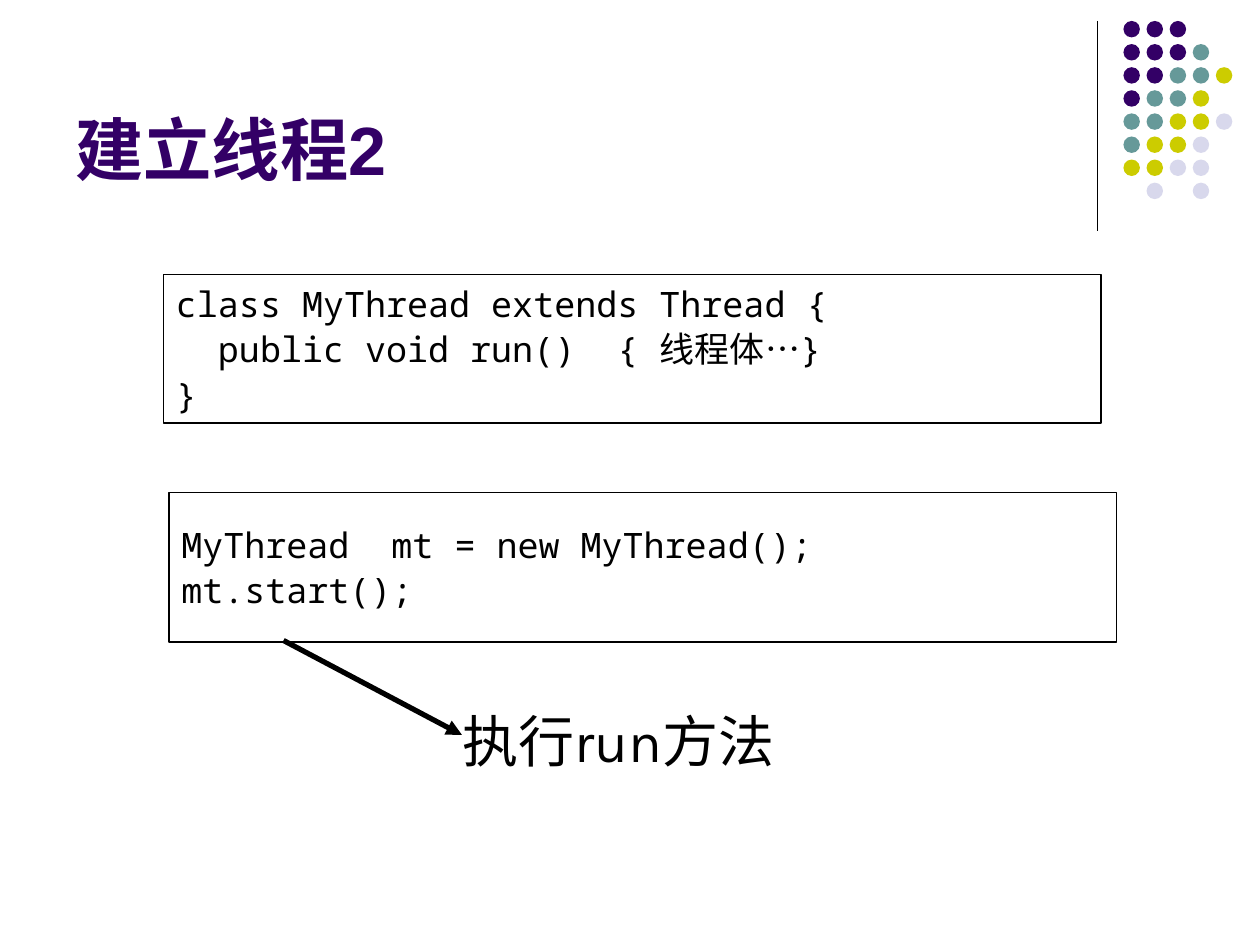
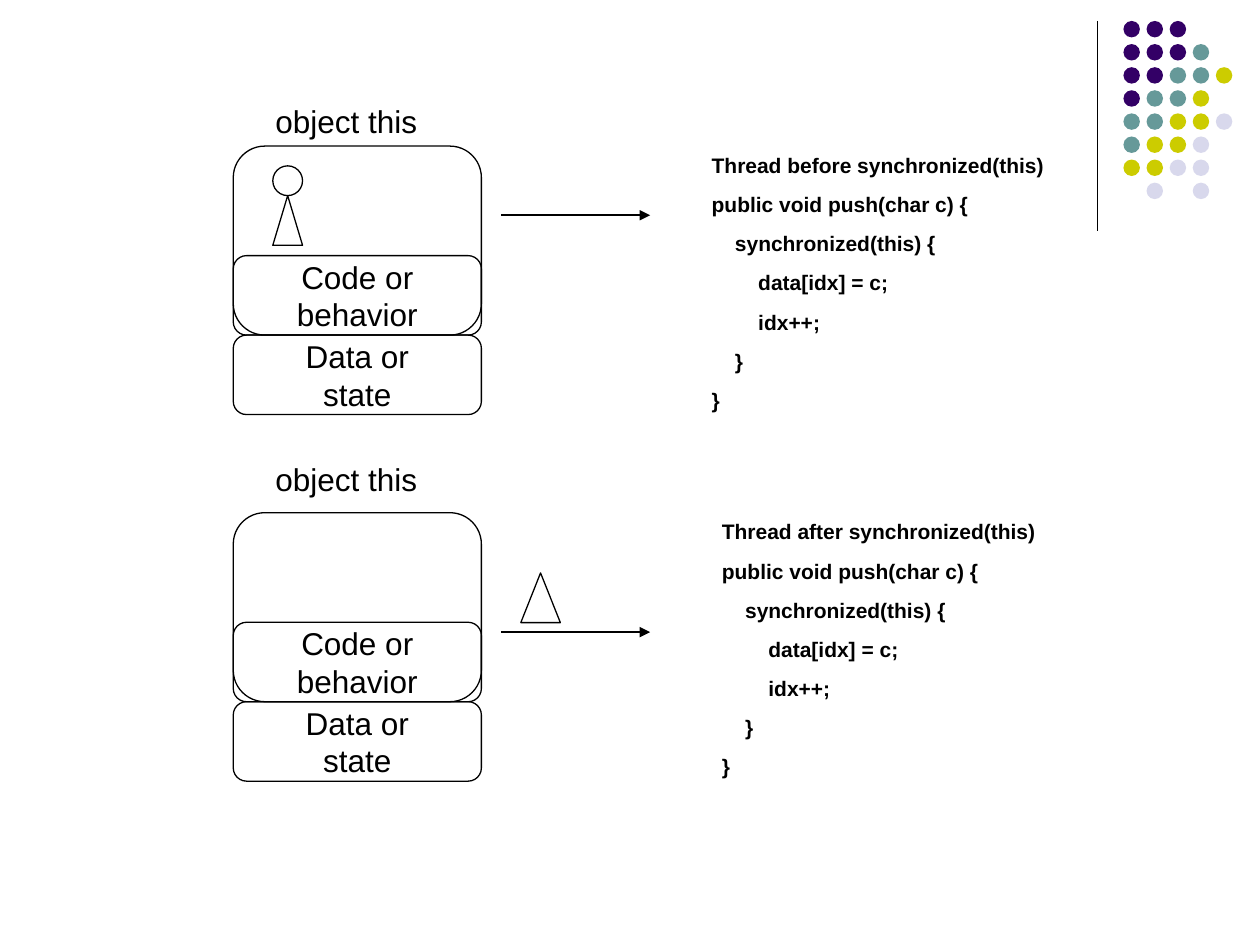
"""Builds two slides on starting Java threads and on synchronized objects."""
import pptx
import pptx.dml.color
import pptx.enum.shapes
import pptx.enum.text
import pptx.oxml.ns
import pptx.oxml.xmlchemy
import pptx.util

Pt = pptx.util.Pt
SHAPES = pptx.enum.shapes.MSO_SHAPE
ANCHOR = pptx.enum.text.MSO_ANCHOR
ALIGN = pptx.enum.text.PP_ALIGN

COLORS = {"ink": "000000", "purple": "330066", "teal": "669999", "lime": "CCCC00", "mist": "D8D8EC"}
DOT_COLORS = {"P": "purple", "T": "teal", "Y": "lime", "L": "mist"}
DOT_ROWS = ["PPP", "PPPT", "PPTTY", "PTTY", "TTYYL", "TYYL", "YYLL", " L L"]
DOT_LEFT, DOT_TOP, DOT_PITCH, DOT_SIZE = 642, 12, 13.2, 9.4

TITLE = "建立线程2"
CALL_NOTE = "执行run方法"
CODE_BOXES = [
    ((93.5, 156.7, 535.7, 85), ["class MyThread extends Thread {", "  public void run()  { 线程体…}", "}"]),
    ((96.5, 281.4, 541.5, 85.4), ["MyThread  mt = new MyThread();", "mt.start();"]),
]

PUSH_CODE = [
    "public void push(char c) {",
    "    synchronized(this) {",
    "        data[idx] = c;",
    "        idx++;",
    "    }",
    "}",
]
OBJECT_PARTS = [["Code or", "behavior"], ["Data or", "state"]]
PANELS = [
    {"top": 83.5, "label_top": 54.7, "arrow_y": 123, "code_left": 399.6,
     "heading": "Thread before synchronized(this)",
     "figure": [(SHAPES.OVAL, (155.9, 94.8, 17, 17)),
                (SHAPES.ISOSCELES_TRIANGLE, (155.9, 111.8, 17, 28.4))]},
    {"top": 293, "label_top": 259.2, "arrow_y": 361.2, "code_left": 405.4,
     "heading": "Thread after synchronized(this)",
     "figure": [(SHAPES.ISOSCELES_TRIANGLE, (297.6, 327.4, 22.6, 28.4))]},
]
OBJECT_LEFT, OBJECT_WIDTH, OBJECT_HEIGHT, PART_HEIGHT = 133.3, 141.8, 108, 45.4


def rgb(name):
    return pptx.dml.color.RGBColor.from_string(COLORS[name])


def write(shape, lines, size, font="Arial", color="ink", bold=False, gap=0,
          align=ALIGN.LEFT, anchor=ANCHOR.TOP):
    frame = shape.text_frame
    frame.word_wrap = True
    frame.vertical_anchor = anchor
    for index, line in enumerate(lines):
        paragraph = frame.paragraphs[0] if index == 0 else frame.add_paragraph()
        paragraph.alignment = align
        paragraph.space_before = Pt(gap if index else 0)
        paragraph.font.size = Pt(size)
        paragraph.font.name = font
        paragraph.font.bold = bold
        paragraph.font.color.rgb = rgb(color)
        for part in filter(None, line.partition("…")):
            run = paragraph.add_run()
            run.text = part
            if part == "…":
                run.font.name = "Arial"


def add_text(slide, box, lines, size, **style):
    write(slide.shapes.add_textbox(*map(Pt, box)), lines, size, **style)


def add_outline(slide, kind, box):
    shape = slide.shapes.add_shape(kind, *map(Pt, box))
    shape.shadow.inherit = False
    shape.fill.background()
    shape.line.color.rgb = rgb("ink")
    shape.line.width = Pt(0.75)
    return shape


def add_line(slide, start, end, width, arrow=True):
    line = slide.shapes.add_connector(
        pptx.enum.shapes.MSO_CONNECTOR.STRAIGHT, *map(Pt, start + end))
    line.line.color.rgb = rgb("ink")
    line.line.width = Pt(width)
    properties = line._element.find(pptx.oxml.ns.qn("p:spPr"))
    if arrow:
        head = pptx.oxml.xmlchemy.OxmlElement("a:tailEnd")
        head.set("type", "triangle")
        properties.find(pptx.oxml.ns.qn("a:ln")).append(head)
    properties.append(pptx.oxml.xmlchemy.OxmlElement("a:effectLst"))


def add_slide(deck):
    slide = deck.slides.add_slide(deck.slide_layouts[6])
    add_line(slide, (627, 12), (627, 132), 0.75, arrow=False)
    for row, dots in enumerate(DOT_ROWS):
        for column, key in enumerate(dots):
            if key in DOT_COLORS:
                dot = add_outline(slide, SHAPES.OVAL, (
                    DOT_LEFT + column * DOT_PITCH, DOT_TOP + row * DOT_PITCH, DOT_SIZE, DOT_SIZE))
                dot.fill.solid()
                dot.fill.fore_color.rgb = rgb(DOT_COLORS[key])
                dot.line.fill.background()
    return slide


def add_start_slide(deck):
    slide = add_slide(deck)
    add_text(slide, (36, 9.4, 594, 102), [TITLE], 39, color="purple", bold=True, anchor=ANCHOR.BOTTOM)
    for box, code in CODE_BOXES:
        write(add_outline(slide, SHAPES.RECTANGLE, box), code, 20,
              font="Noto Sans Mono", gap=2, anchor=ANCHOR.MIDDLE)
    add_line(slide, (162, 366), (264, 420), 3)
    add_text(slide, (257, 400.3, 215, 46), [CALL_NOTE], 32, font="Karla")


def add_panel(slide, panel):
    top = panel["top"]
    rounded = SHAPES.FLOWCHART_ALTERNATE_PROCESS
    add_outline(slide, rounded, (OBJECT_LEFT, top, OBJECT_WIDTH, OBJECT_HEIGHT))
    for index, part in enumerate(OBJECT_PARTS):
        part_top = top + OBJECT_HEIGHT + (index - 1) * PART_HEIGHT
        shape = add_outline(slide, rounded, (OBJECT_LEFT, part_top, OBJECT_WIDTH, PART_HEIGHT))
        write(shape, part, 18, align=ALIGN.CENTER, anchor=ANCHOR.MIDDLE)
    for kind, box in panel["figure"]:
        add_outline(slide, kind, box)
    add_line(slide, (286.3, panel["arrow_y"]), (371.5, panel["arrow_y"]), 1)
    add_text(slide, (150.2, panel["label_top"], 98, 28.8), ["object this"], 18)
    add_text(slide, (panel["code_left"], top, 209.5, 153.4),
             [panel["heading"]] + PUSH_CODE, 12, bold=True, gap=8)


def main():
    deck = pptx.Presentation()
    deck.slide_width, deck.slide_height = Pt(720), Pt(540)
    add_start_slide(deck)
    sync_slide = add_slide(deck)
    for panel in PANELS:
        add_panel(sync_slide, panel)
    deck.save("out.pptx")


if __name__ == "__main__":
    main()
